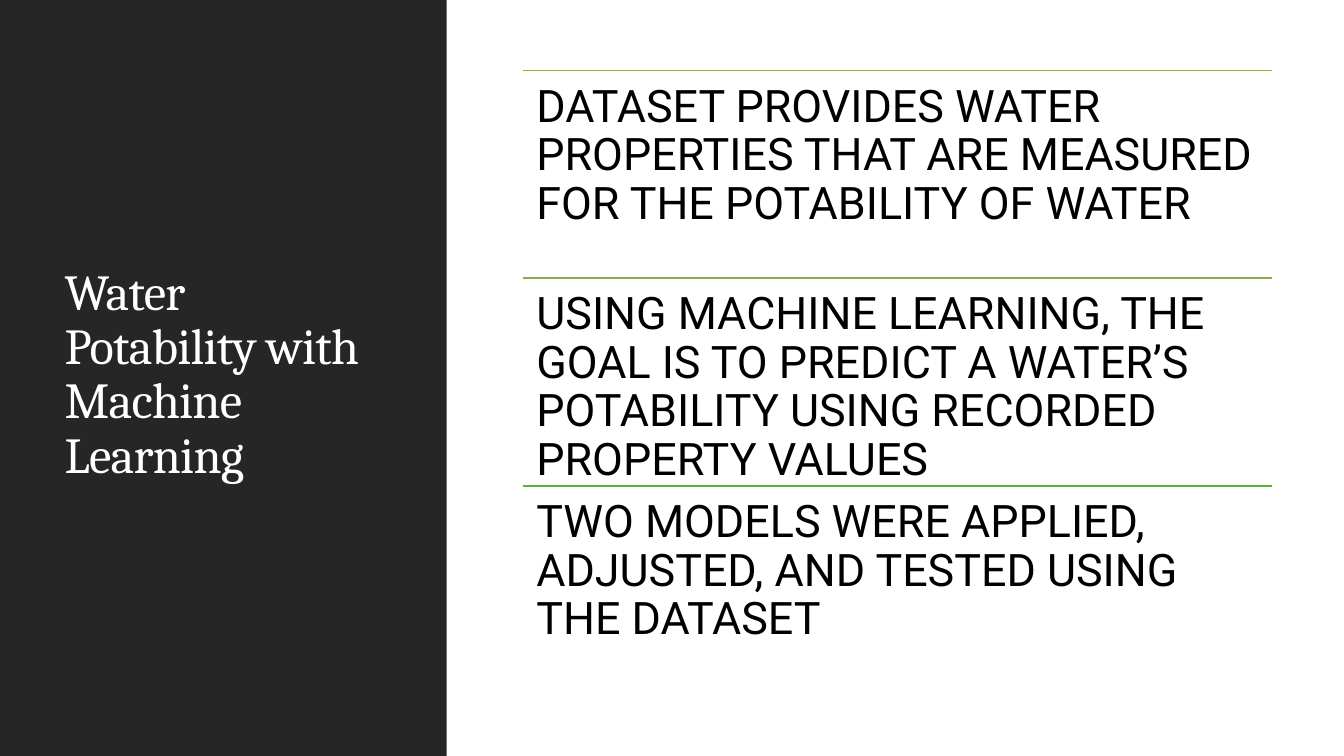
from lxml.etree import SubElement
from pptx import Presentation
from pptx.dml.color import RGBColor
from pptx.enum.shapes import MSO_CONNECTOR, MSO_SHAPE
from pptx.enum.text import MSO_ANCHOR, MSO_AUTO_SIZE, PP_ALIGN
from pptx.oxml.ns import qn
from pptx.util import Inches, Pt

TITLE = "Water Potability with Machine Learning"
OLIVE = RGBColor(0xAE, 0xA3, 0x3A)
MOSS = RGBColor(0x8C, 0xAB, 0x4A)
GREEN = RGBColor(0x57, 0xB6, 0x36)
CHARCOAL = RGBColor(0x26, 0x26, 0x26)
WHITE = RGBColor(0xFF, 0xFF, 0xFF)
BLACK = RGBColor(0x00, 0x00, 0x00)
POINTS = [
    ("DATASET PROVIDES WATER PROPERTIES THAT ARE MEASURED FOR THE POTABILITY OF WATER", OLIVE),
    ("USING MACHINE LEARNING, THE GOAL IS TO PREDICT A WATER’S POTABILITY USING RECORDED PROPERTY VALUES", MOSS),
    ("TWO MODELS WERE APPLIED, ADJUSTED, AND TESTED USING THE DATASET", GREEN),
]

SLIDE_WIDTH, SLIDE_HEIGHT = Inches(13.33), Inches(7.5)
SIDEBAR_WIDTH = Inches(4.43)
TITLE_BOX = [Inches(length) for length in (0.54, 0.57, 3.37, 6.31)]
LIST_LEFT, LIST_TOP, LIST_WIDTH = Inches(5.19), Inches(0.7), Inches(7.43)
ROW_HEIGHT = Inches(2.06)
ROW_INSET = Inches(0.13)


def write(text_frame, text, font_name, size, color):
    text_frame.text = text
    text_frame.word_wrap = True
    text_frame.auto_size = MSO_AUTO_SIZE.NONE
    paragraph = text_frame.paragraphs[0]
    paragraph.alignment = PP_ALIGN.LEFT
    paragraph.line_spacing = 0.9
    run = paragraph.runs[0]
    run.font.name = font_name
    run.font.size = Pt(size)
    run.font.color.rgb = color
    return run


def add_sidebar(slide):
    sidebar = slide.shapes.add_shape(MSO_SHAPE.RECTANGLE, 0, 0, SIDEBAR_WIDTH, SLIDE_HEIGHT)
    sidebar.shadow.inherit = False
    sidebar.fill.solid()
    sidebar.fill.fore_color.rgb = CHARCOAL
    sidebar.line.fill.background()
    return sidebar


def place_title(slide, sidebar):
    title = slide.shapes.title
    title.left, title.top, title.width, title.height = TITLE_BOX
    title.text_frame.vertical_anchor = MSO_ANCHOR.MIDDLE
    run = write(title.text_frame, TITLE, "Cambria", 36, WHITE)
    run.font._element.set("spc", "-50")
    sidebar.element.addnext(title.element)


def add_point(slide, row, text, color):
    top = LIST_TOP + row * ROW_HEIGHT
    rule = slide.shapes.add_connector(
        MSO_CONNECTOR.STRAIGHT, LIST_LEFT, top, LIST_LEFT + LIST_WIDTH, top)
    rule.line.color.rgb = color
    rule.line.width = Pt(1.25)
    SubElement(rule.element.spPr, qn("a:effectLst"))
    box = slide.shapes.add_textbox(LIST_LEFT, top, LIST_WIDTH, ROW_HEIGHT)
    frame = box.text_frame
    frame.margin_left = frame.margin_right = ROW_INSET
    frame.margin_top = frame.margin_bottom = ROW_INSET
    write(frame, text, "Roboto", 32, BLACK)


def main():
    presentation = Presentation()
    presentation.slide_width, presentation.slide_height = SLIDE_WIDTH, SLIDE_HEIGHT
    slide = presentation.slides.add_slide(presentation.slide_layouts.get_by_name("Title Only"))
    slide.background.fill.solid()
    slide.background.fill.fore_color.rgb = WHITE
    place_title(slide, add_sidebar(slide))
    for row, (text, color) in enumerate(POINTS):
        add_point(slide, row, text, color)
    presentation.save("out.pptx")


if __name__ == "__main__":
    main()
